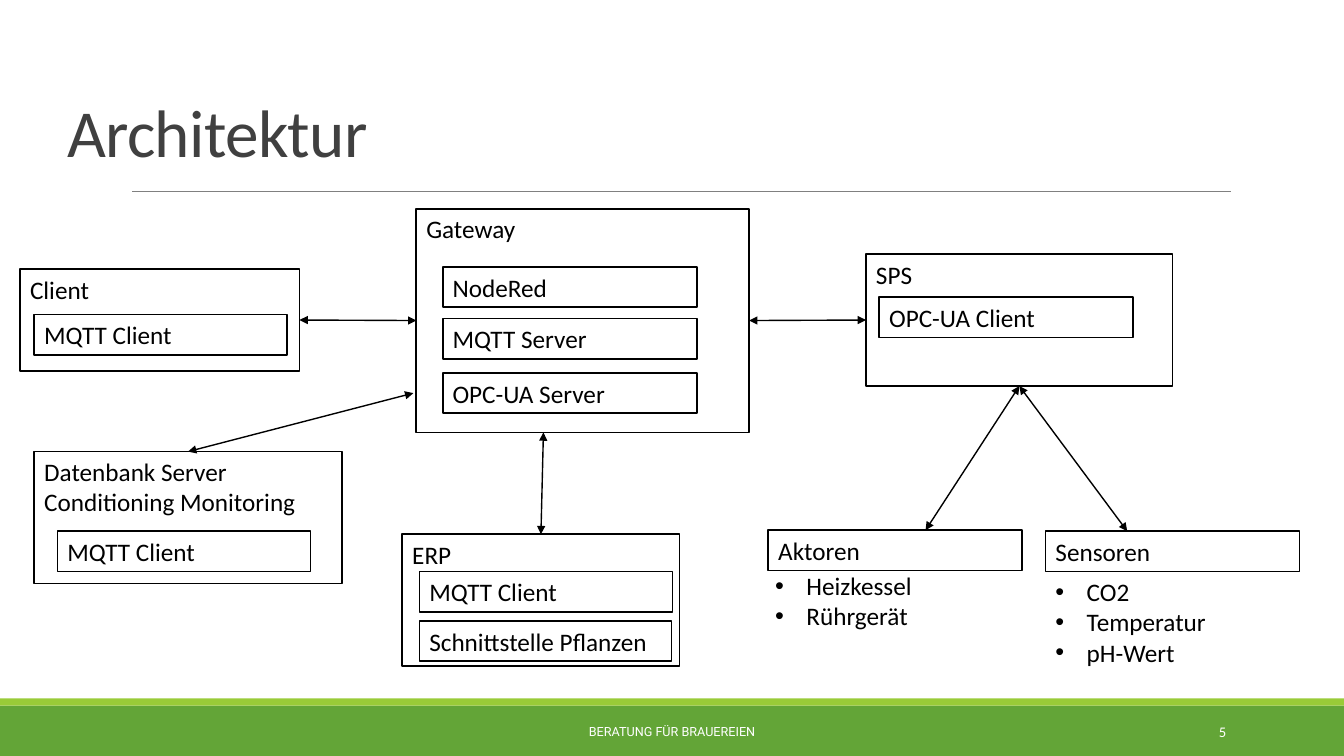
import pptx
import pptx.util
import pptx.dml.color
import pptx.enum.shapes
import pptx.enum.text
from lxml import etree
from pptx.util import Inches

RGB = pptx.dml.color.RGBColor
BLACK = RGB(0x00, 0x00, 0x00)
WHITE = RGB(0xFF, 0xFF, 0xFF)
DARK = RGB(0x40, 0x40, 0x40)
GRAY = RGB(0x80, 0x80, 0x80)
GREEN = RGB(0x63, 0xA5, 0x37)
LIME = RGB(0x99, 0xCB, 0x38)
RECT = pptx.enum.shapes.MSO_SHAPE.RECTANGLE
LINE = pptx.enum.shapes.MSO_CONNECTOR.STRAIGHT
ANCHOR = pptx.enum.text.MSO_ANCHOR
ALIGN = pptx.enum.text.PP_ALIGN
TOP, LEFT, BOTTOM, RIGHT = range(4)

deck = pptx.Presentation()
deck.slide_width, deck.slide_height = Inches(13.33), Inches(7.5)
slide = deck.slides.add_slide(deck.slide_layouts[6])
shapes = slide.shapes


def write(frame, lines, size=18, color=BLACK, font="Calibri",
          align=ALIGN.LEFT, anchor=ANCHOR.TOP, bullet=False):
    """Fill a text frame with one run per line and return the last run."""
    frame.word_wrap = True
    frame.vertical_anchor = anchor
    for i, line in enumerate(lines):
        para = frame.paragraphs[0] if i == 0 else frame.add_paragraph()
        para.alignment = align
        if bullet:
            props = para._p.get_or_add_pPr()
            props.set("marL", str(Inches(0.31)))
            props.set("indent", str(-Inches(0.31)))
            face = etree.SubElement(props, pptx.oxml.ns.qn("a:buFont"))
            face.set("typeface", "Arial")
            mark = etree.SubElement(props, pptx.oxml.ns.qn("a:buChar"))
            mark.set("char", "•")
        run = para.add_run()
        run.text = line
        run.font.size = pptx.util.Pt(size)
        run.font.name = font
        run.font.color.rgb = color
    return run


def join(start, end, color=BLACK, width=1, arrows=True):
    """Draw a line; each end is a point or a (box, side) pair."""
    link = shapes.add_connector(LINE, 0, 0, 0, 0)
    if isinstance(start[0], str):
        link.begin_connect(boxes[start[0]], start[1])
    else:
        link.begin_x, link.begin_y = map(Inches, start)
    if isinstance(end[0], str):
        link.end_connect(boxes[end[0]], end[1])
    else:
        link.end_x, link.end_y = map(Inches, end)
    link.line.color.rgb = color
    link.line.width = pptx.util.Pt(width)
    if arrows:
        stroke = link.line._get_or_add_ln()
        for tag in ("a:headEnd", "a:tailEnd"):
            tip = etree.SubElement(stroke, pptx.oxml.ns.qn(tag))
            tip.set("type", "triangle")
    etree.SubElement(link._element.spPr, pptx.oxml.ns.qn("a:effectLst"))


# Footer bands and title rule
for top, height, color in ((7, 0.5, GREEN), (6.93, 0.07, LIME)):
    band = shapes.add_shape(RECT, 0, Inches(top), deck.slide_width, Inches(height))
    band.shadow.inherit = False
    band.fill.solid()
    band.fill.fore_color.rgb = color
    band.line.fill.background()
join((1.31, 1.9), (12.21, 1.9), GRAY, 0.5, arrows=False)

# Systems first, then the parts that sit inside them
boxes = {}
for name, left, top, width, height in (
    ("Gateway", 4.13, 2.07, 3.3, 2.22),
    ("Client", 0.2, 2.67, 2.77, 1.01),
    ("SPS", 8.59, 2.52, 3.04, 1.31),
    ("ERP", 3.99, 5.3, 2.75, 1.31),
    ("Datenbank Server Conditioning Monitoring", 0.34, 4.48, 3.05, 1.31),
    ("Aktoren", 7.62, 5.26, 2.52, 0.4),
    ("Sensoren", 10.37, 5.27, 2.52, 0.4),
    ("NodeRed", 4.39, 2.65, 2.52, 0.4),
    ("MQTT Server", 4.39, 3.16, 2.52, 0.4),
    ("OPC-UA Server", 4.39, 3.7, 2.52, 0.4),
    ("OPC-UA Client", 8.72, 2.95, 2.52, 0.4),
    ("MQTT Client", 0.34, 3.12, 2.51, 0.4),
    ("MQTT Client", 0.57, 5.27, 2.51, 0.4),
    ("MQTT Client", 4.16, 5.67, 2.51, 0.4),
    ("Schnittstelle Pflanzen", 4.16, 6.16, 2.5, 0.4),
):
    box = shapes.add_shape(RECT, *map(Inches, (left, top, width, height)))
    box.shadow.inherit = False
    box.fill.solid()
    box.fill.fore_color.rgb = WHITE
    box.line.color.rgb = BLACK
    box.line.width = pptx.util.Pt(1.25)
    write(box.text_frame, [name])
    boxes[name] = box

# Data flows
store = "Datenbank Server Conditioning Monitoring"
for start, end in (
    (("Gateway", RIGHT), ("SPS", LEFT)),
    (("Client", RIGHT), ("Gateway", LEFT)),
    ((9.18, 5.26), ("SPS", BOTTOM)),
    ((11.18, 5.27), ("SPS", BOTTOM)),
    (("ERP", TOP), (5.39, 4.29)),
    ((store, TOP), (4.1, 3.9)),
):
    join(start, end)

# Title, lists and footer
title = shapes.add_textbox(*map(Inches, (0.57, 0.3, 11.5, 1.45))).text_frame
head = write(title, ["Architektur"], 48, DARK, anchor=ANCHOR.BOTTOM)
head.font._element.set("spc", "-50")
title.paragraphs[0].line_spacing = 0.85

for items, area in (
    (["Heizkessel", "Rührgerät"], (7.59, 5.61, 2.52, 0.71)),
    (["CO2", "Temperatur", "pH-Wert"], (10.37, 5.67, 2.52, 1.01)),
):
    write(shapes.add_textbox(*map(Inches, area)).text_frame, items, bullet=True)

for text, area, size, font, align in (
    ("BERATUNG FÜR BRAUEREIEN", (4.03, 7.06, 5.27, 0.4), 9, "Roboto", ALIGN.CENTER),
    ("5", (10.83, 7.06, 1.43, 0.4), 10.5, "Calibri", ALIGN.RIGHT),
):
    foot = shapes.add_textbox(*map(Inches, area)).text_frame
    write(foot, [text], size, WHITE, font, align, ANCHOR.MIDDLE)

deck.save("out.pptx")
